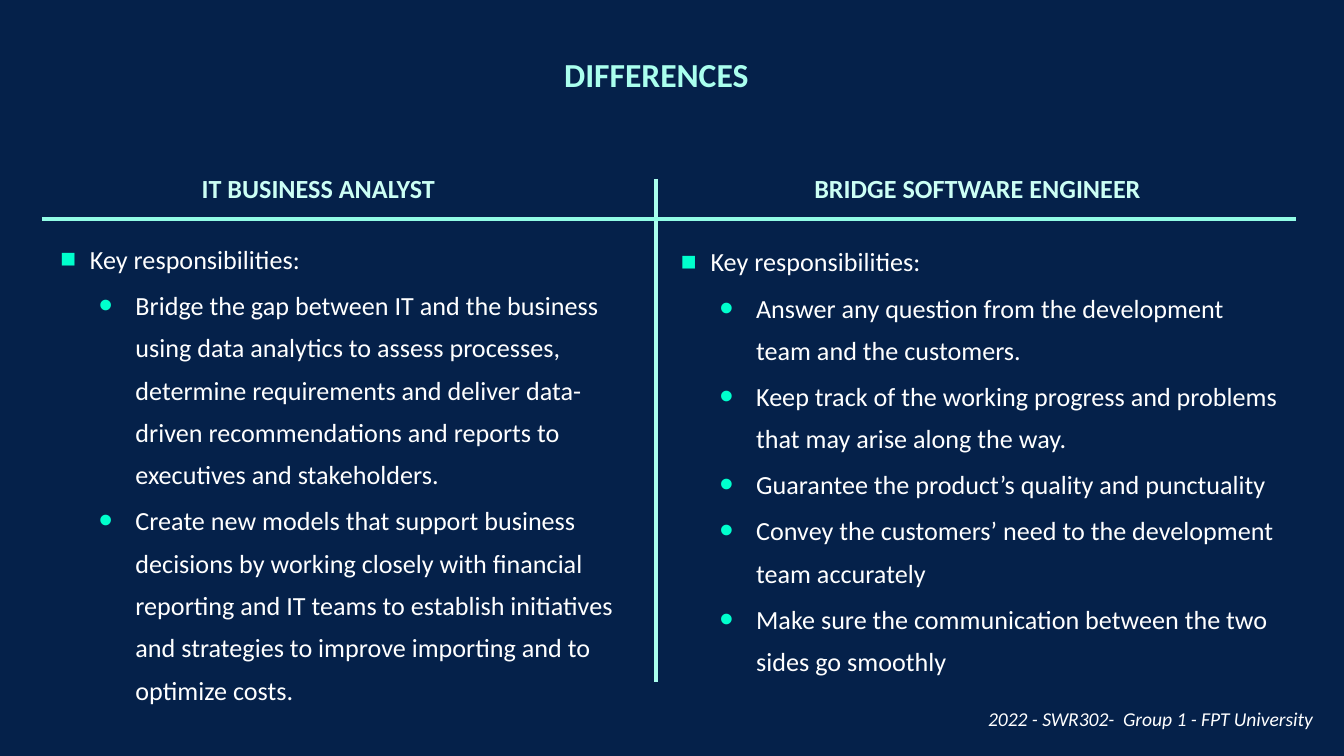
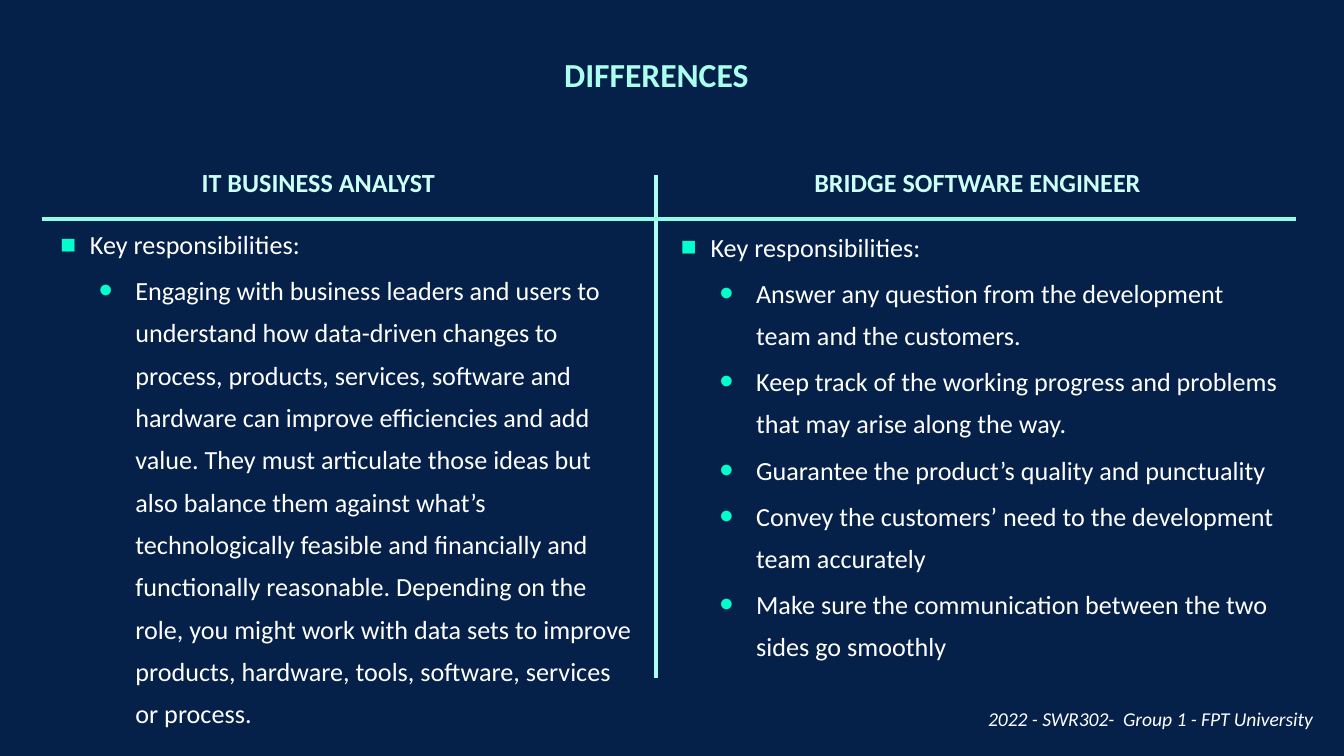
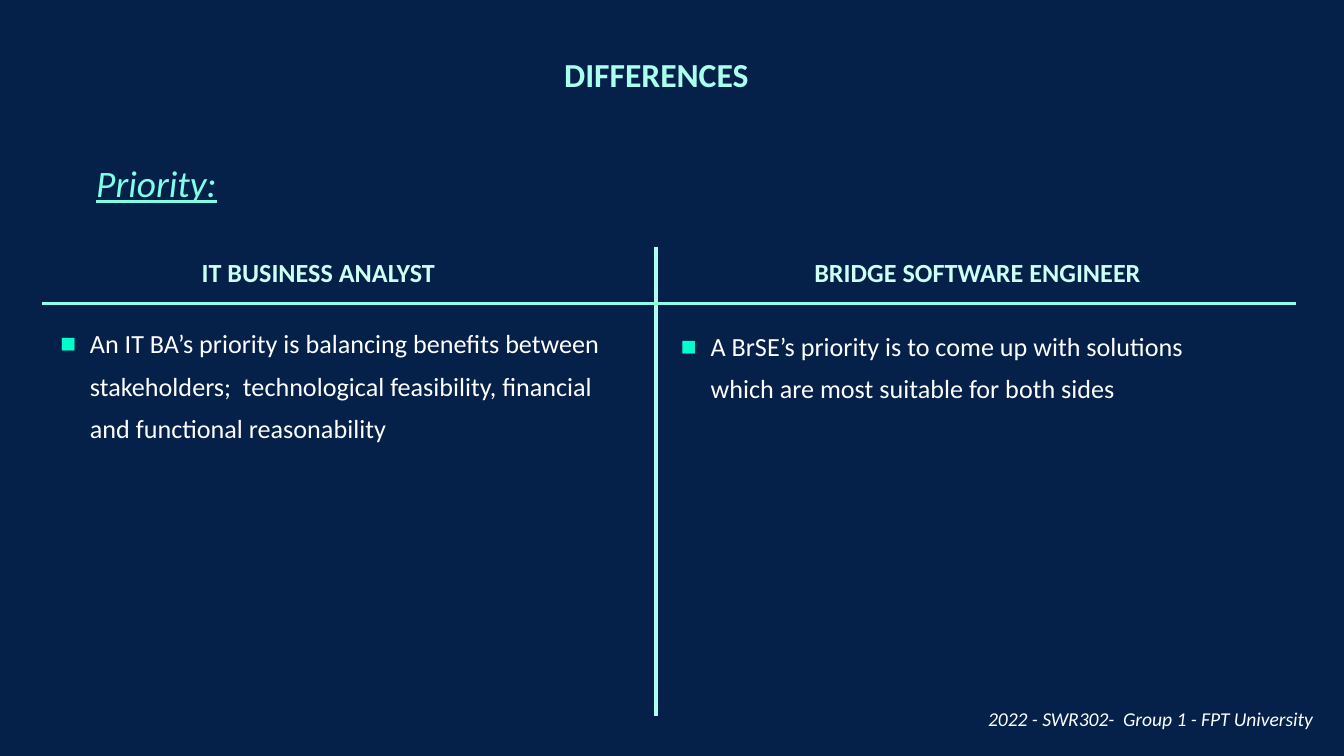
from dataclasses import dataclass

from lxml import etree
from pptx import Presentation
from pptx import util as u
from pptx.dml.color import RGBColor
from pptx.enum import shapes, text
from pptx.oxml import ns


@dataclass(frozen=True)
class Theme:
    font: str = "Calibri"
    background: str = "05214A"
    title: str = "AAFFEE"
    heading: str = "CCFFF5"
    topic: str = "80FFE6"
    body: str = "FFFFFF"
    bullet: str = "00FFCD"
    rule: str = "92FCE6"
    title_size: float = 18
    topic_size: float = 20
    body_size: float = 14
    footer_size: float = 10.5
    line_width: float = 1.75
    body_spacing: float = 1.35
    footer_spacing: float = 1.3


@dataclass(frozen=True)
class Box:
    left: float
    top: float
    width: float
    height: float


@dataclass(frozen=True)
class Bullet:
    char: str
    size: int
    margin: float
    indent: float


THEME = Theme()
BULLETS = (Bullet("■", 100, 0.66, -0.56), Bullet("•", 150, 1.52, -0.69))
TITLE_BOX = Box(9.19, 0.76, 6.43, 2.62)
TOPIC_BOX = Box(1.57, 2.9, 2.79, 1.12)
FOOTER_BOX = Box(15.32, 12.52, 9.75, 1.42)
COMPARISON_LAYOUT = 4
HEADINGS = ("IT BUSINESS ANALYST", "BRIDGE SOFTWARE ENGINEER")
RESPONSIBILITIES = "Key responsibilities:"
ENGINEER_TASKS = [
    RESPONSIBILITIES,
    "Answer any question from the development team and the customers.",
    "Keep track of the working progress and problems that may arise along the way.",
    "Guarantee the product’s quality and punctuality",
    "Convey the customers’ need to the development team accurately",
    "Make sure the communication between the two sides go smoothly",
]


def place(sp, box):
    sp.left, sp.top = u.Cm(box.left), u.Cm(box.top)
    sp.width, sp.height = u.Cm(box.width), u.Cm(box.height)


def setup_frame(sp, inset_y=0.25, anchor=text.MSO_ANCHOR.TOP):
    tf = sp.text_frame
    tf.word_wrap = True
    tf.auto_size = text.MSO_AUTO_SIZE.NONE
    tf.vertical_anchor = anchor
    tf.margin_left = tf.margin_right = u.Cm(0.25)
    tf.margin_top = tf.margin_bottom = u.Cm(inset_y)
    return tf


def style(p, size, color, bold=False, italic=False, underline=False):
    for r in p.runs:
        f = r.font
        f.name, f.size = THEME.font, u.Pt(size)
        f.bold, f.italic, f.underline = bold, italic, underline
        f.color.rgb = RGBColor.from_string(color)


def write_line(sp, content, size, color, align=text.PP_ALIGN.LEFT, inset_y=0.13,
               anchor=text.MSO_ANCHOR.TOP, spacing=1.0, **look):
    tf = setup_frame(sp, inset_y, anchor)
    tf.text = content
    p = tf.paragraphs[0]
    p.alignment = align
    p.space_before = u.Pt(0)
    p.line_spacing = spacing
    style(p, size, color, **look)


def add_bullet(p, bullet):
    pPr = p._p.get_or_add_pPr()
    pPr.set("marL", str(u.Cm(bullet.margin)))
    pPr.set("indent", str(u.Cm(bullet.indent)))
    clr = etree.SubElement(pPr, ns.qn("a:buClr"))
    etree.SubElement(clr, ns.qn("a:srgbClr"), val=THEME.bullet)
    etree.SubElement(pPr, ns.qn("a:buSzPct"), val=str(bullet.size * 1000))
    etree.SubElement(pPr, ns.qn("a:buChar"), char=bullet.char)


def write_list(sp, box, items):
    place(sp, box)
    tf = setup_frame(sp)
    tf.text = "\n".join(items)
    for i, p in enumerate(tf.paragraphs):
        p.level = min(i, 1)
        add_bullet(p, BULLETS[p.level])
        p.alignment = text.PP_ALIGN.LEFT
        p.line_spacing = THEME.body_spacing
        p.space_before = u.Pt(2 if i else 0)
        style(p, THEME.body_size, THEME.body)


def add_line(s, x1, y1, x2, y2, color):
    cx = s.shapes.add_connector(shapes.MSO_CONNECTOR.STRAIGHT,
                                u.Cm(x1), u.Cm(y1), u.Cm(x2), u.Cm(y2))
    cx.line.color.rgb = RGBColor.from_string(color)
    cx.line.width = u.Pt(THEME.line_width)
    etree.SubElement(cx._element.spPr, ns.qn("a:effectLst"))


def add_title(s):
    place(s.shapes.title, TITLE_BOX)
    write_line(s.shapes.title, "DIFFERENCES", THEME.title_size, THEME.title,
               align=text.PP_ALIGN.CENTER, inset_y=0.25, bold=True)


def add_topic(s, topic):
    sp = s.shapes.add_textbox(0, 0, 0, 0)
    place(sp, TOPIC_BOX)
    write_line(sp, topic, THEME.topic_size, THEME.topic, italic=True, underline=True)


def add_footer(s):
    sp = s.shapes.add_textbox(0, 0, 0, 0)
    place(sp, FOOTER_BOX)
    write_line(sp, "2022 - SWR302-  Group 1 - FPT University",
               THEME.footer_size, THEME.body, align=text.PP_ALIGN.RIGHT,
               anchor=text.MSO_ANCHOR.BOTTOM, spacing=THEME.footer_spacing, italic=True)


def add_comparison(s, box, lists, heading_rise, divider_rise, list_shift, right_width):
    divider_x = box.left + 11.61
    divider_top = box.top - divider_rise
    add_line(s, divider_x, divider_top, divider_x, divider_top + box.height, THEME.title)
    add_line(s, box.left, box.top, box.left + box.width, box.top, THEME.rule)

    columns = (
        (1, 2.77, 5.46, Box(box.left, box.top + list_shift, 11.48, 10.59)),
        (3, 14.35, 7.21, Box(divider_x + 0.12, box.top + list_shift + 0.05,
                             right_width, 4.37)),
    )
    for (idx, dx, width, list_box), heading, items in zip(columns, HEADINGS, lists):
        sp = s.placeholders[idx]
        place(sp, Box(box.left + dx, box.top - heading_rise, width, 0.86))
        write_line(sp, heading, THEME.body_size, THEME.heading, bold=True)
        write_list(s.placeholders[idx + 1], list_box, items)


def add_slide(prs, box, lists, topic=None, heading_rise=1.02, divider_rise=0.76,
              list_shift=0, right_width=11.96):
    s = prs.slides.add_slide(prs.slide_layouts[COMPARISON_LAYOUT])
    add_title(s)
    if topic:
        add_topic(s, topic)
    add_comparison(s, box, lists, heading_rise, divider_rise, list_shift, right_width)
    add_footer(s)


def main():
    prs = Presentation()
    prs.slide_width, prs.slide_height = u.Cm(25.4), u.Cm(14.29)
    fill = prs.slide_master.background.fill
    fill.solid()
    fill.fore_color.rgb = RGBColor.from_string(THEME.background)

    tall = Box(0.79, 4.14, 23.7, 9.52)
    add_slide(prs, tall, ([
        RESPONSIBILITIES,
        "Bridge the gap between IT and the business using data analytics to assess "
        "processes, determine requirements and deliver data-driven recommendations "
        "and reports to executives and stakeholders.",
        "Create new models that support business decisions by working closely with "
        "financial reporting and IT teams to establish initiatives and strategies to "
        "improve importing and to optimize costs.",
    ], ENGINEER_TASKS))
    add_slide(prs, tall, ([
        RESPONSIBILITIES,
        "Engaging with business leaders and users to understand how data-driven "
        "changes to process, products, services, software and hardware can improve "
        "efficiencies and add value. They must articulate those ideas but also balance "
        "them against what’s technologically feasible and financially and functionally "
        "reasonable. Depending on the role, you might work with data sets to improve "
        "products, hardware, tools, software, services or process.",
    ], ENGINEER_TASKS), heading_rise=1.12, divider_rise=0.84, list_shift=-0.28)
    add_slide(prs, Box(0.79, 5.74, 23.7, 8.86), (
        ["An IT BA’s priority is balancing benefits between stakeholders;  "
         "technological feasibility, financial and functional reasonability"],
        ["A BrSE’s priority is to come up with solutions which are most suitable "
         "for both sides"],
    ), topic="Priority:", divider_rise=1.07, right_width=10.57)
    prs.save("out.pptx")


if __name__ == "__main__":
    main()
